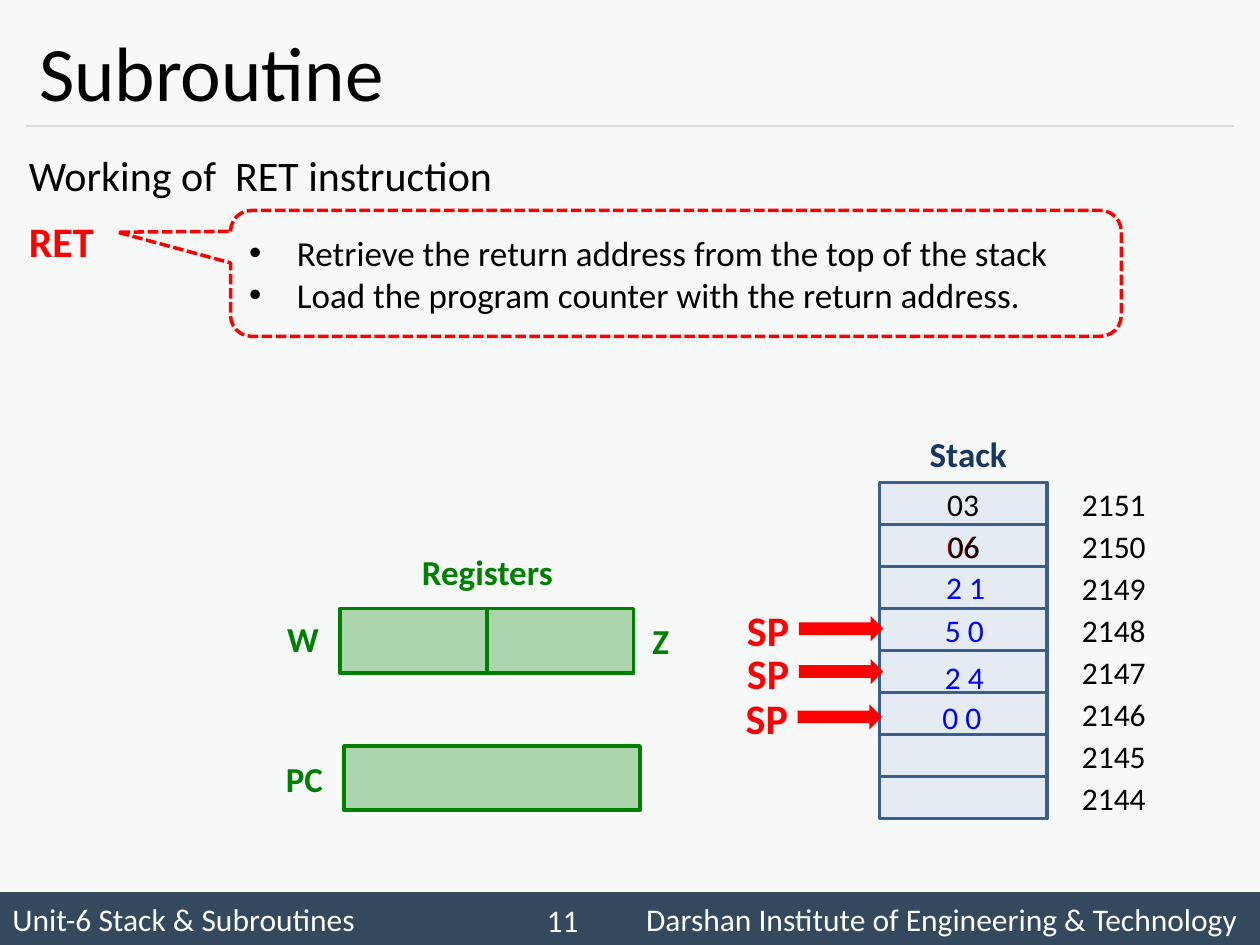
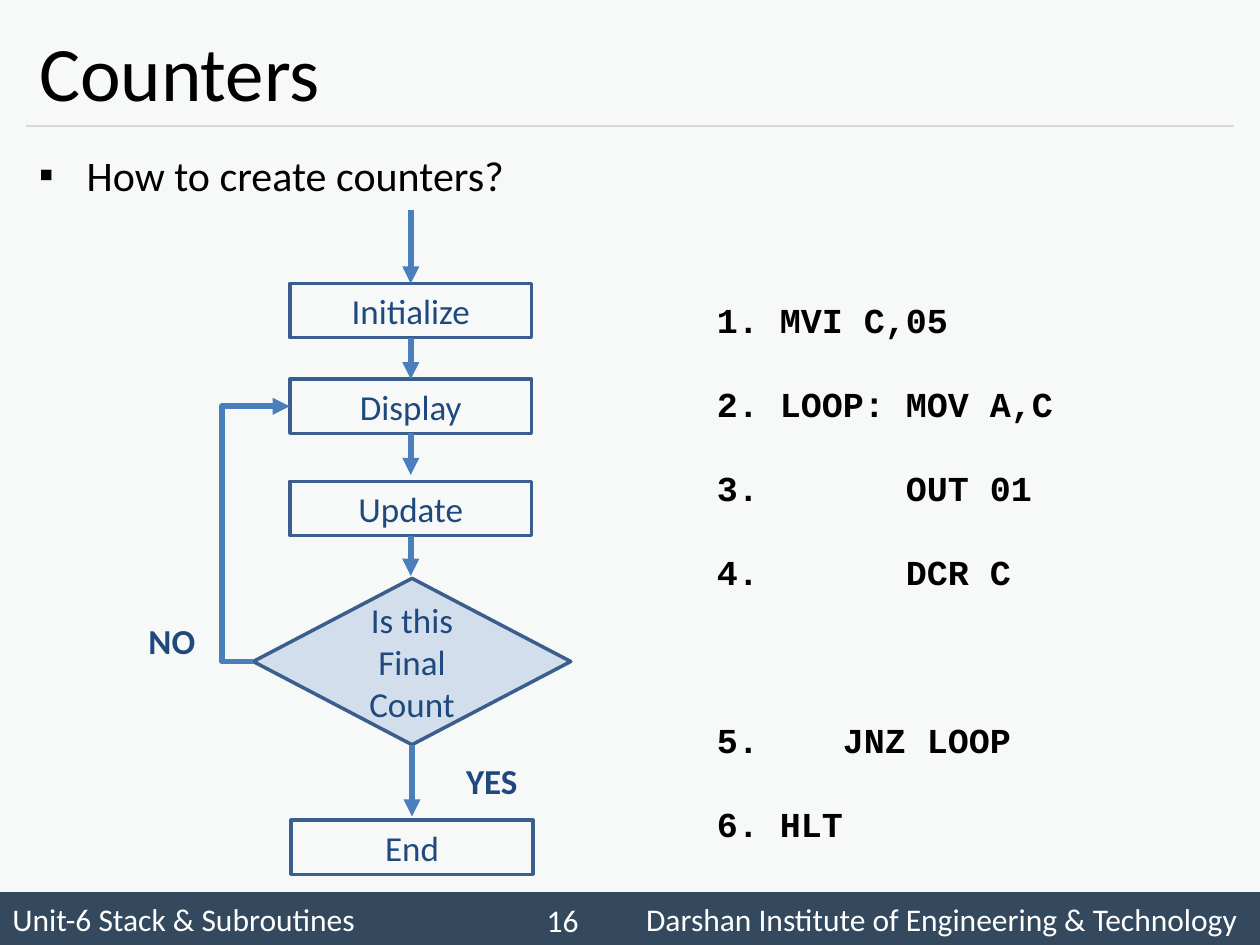
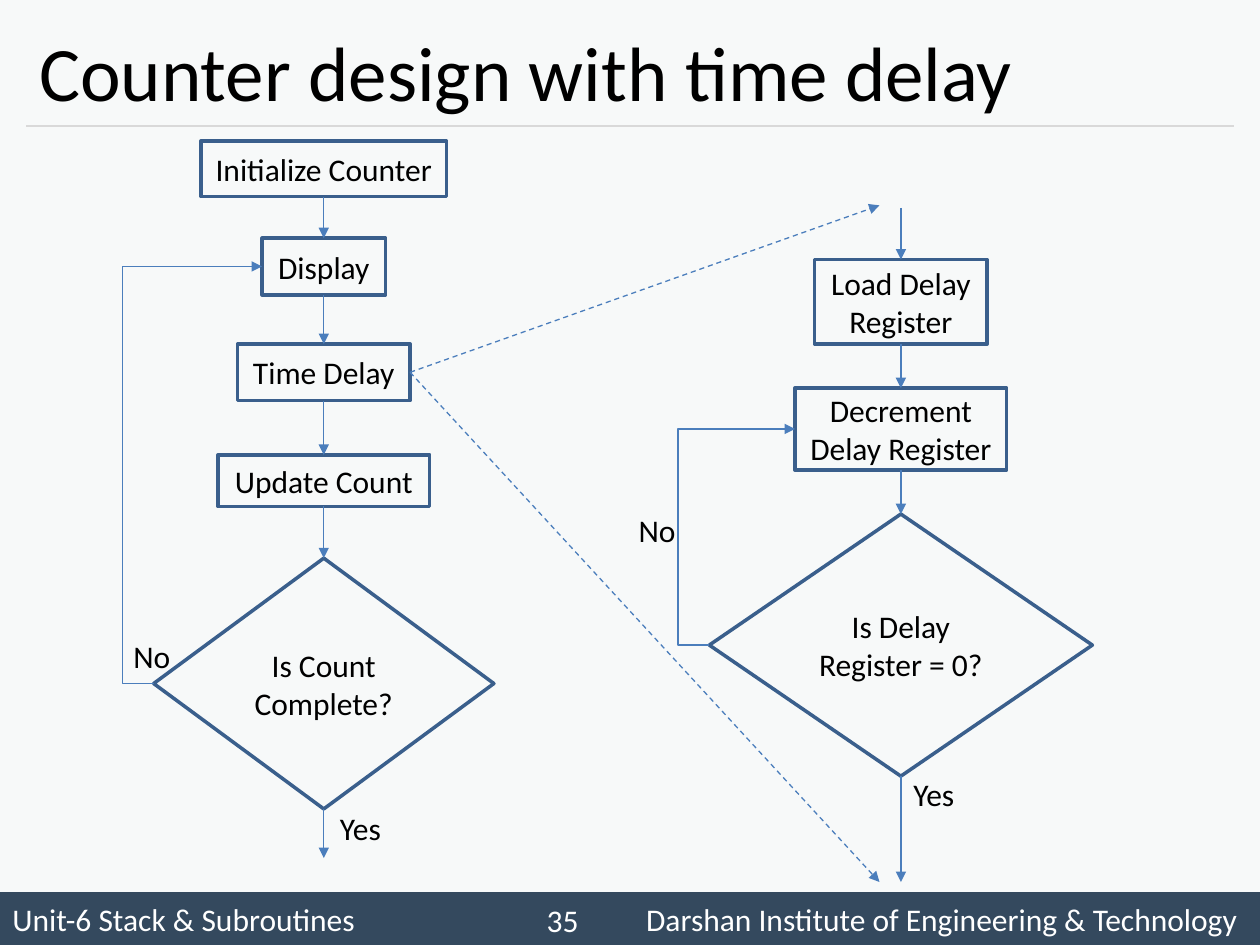
from lxml.etree import SubElement
from pptx import Presentation
from pptx.dml.color import RGBColor
from pptx.enum.dml import MSO_LINE
from pptx.enum.shapes import MSO_CONNECTOR, MSO_SHAPE
from pptx.enum.text import MSO_ANCHOR, PP_ALIGN
from pptx.oxml.ns import qn
from pptx.util import Inches, Pt

HEX = {
    "back": "F7F9F9", "band": "34495E", "rule": "D9D9D9", "white": "FFFFFF",
    "black": "000000", "red": "FF0000", "blue": "0000FF", "green": "008000",
    "navy": "17375E", "ink": "1F497D", "edge": "3A5F8C", "cell": "4F81BD",
    "arrow": "4B7EBC",
}
TOP, LEFT, BOTTOM, RIGHT = range(4)
CENTER = PP_ALIGN.CENTER


def color(name):
    return RGBColor.from_string(HEX[name])


def mark(para, bullet):
    """Give a paragraph a hanging bullet, or a number for '1.'."""
    indent = 0.5 if bullet == "1." else 0.38
    props = para._p.get_or_add_pPr()
    props.set("marL", str(Inches(indent)))
    props.set("indent", str(-Inches(indent)))
    if bullet == "1.":
        SubElement(props, qn("a:buAutoNum"), type="arabicPeriod")
    else:
        SubElement(props, qn("a:buFont"), typeface="Arial")
        SubElement(props, qn("a:buChar"), char=bullet)


def write(frame, text, size=18, ink="black", bold=False, face="Calibri",
          align=PP_ALIGN.LEFT, bullet=None, lead=None, before=None):
    """Add one paragraph to a text frame, filling the first if it is empty."""
    first = frame.paragraphs[0]
    para = frame.add_paragraph() if first.runs else first
    if bullet:
        mark(para, bullet)
    para.alignment = align
    para.line_spacing = lead
    if before:
        para.space_before = Pt(before)
    run = para.add_run()
    run.text = text
    font = run.font
    font.name, font.size, font.bold = face, Pt(size), bold
    font.color.rgb = color(ink)


def spot(end, side):
    """The middle of a shape's side; a point stays as it is."""
    if isinstance(end, tuple):
        return [Inches(value) for value in end]
    x, y, w, h = end.left, end.top, end.width, end.height
    return [(x + w // 2, y), (x, y + h // 2),
            (x + w // 2, y + h), (x + w, y + h // 2)][side]


class Deck:
    def __init__(self):
        self.prs = Presentation()
        self.prs.slide_width, self.prs.slide_height = Inches(10), Inches(7.5)
        fill = self.prs.slide_master.background.fill
        fill.solid()
        fill.fore_color.rgb = color("back")
        self.shapes = None

    def start(self, title, page):
        """New slide with title, rule and footer."""
        slide = self.prs.slides.add_slide(self.prs.slide_layouts[5])
        self.shapes = slide.shapes
        head = self.shapes.title
        head.left, head.top = Inches(0.21), Inches(0.12)
        head.width, head.height = Inches(9.58), Inches(0.88)
        head.text_frame.vertical_anchor = MSO_ANCHOR.MIDDLE
        write(head.text_frame, title, size=44)
        self.link((0.21, 1), (9.79, 1), ink="rule", head=False)
        self.box(0, 7.08, 10, 0.42, "Unit-6 Stack & Subroutines", fill="band",
                 edge=None, ink="white", align=PP_ALIGN.LEFT)
        self.label(5.03, 7.08, 4.97, 0.42,
                   "Darshan Institute of Engineering & Technology",
                   anchor=MSO_ANCHOR.MIDDLE, ink="white")
        self.label(4.13, 7.1, 0.67, 0.4, page, anchor=MSO_ANCHOR.MIDDLE,
                   ink="white", align=CENTER)

    def box(self, x, y, w, h, text="", kind=MSO_SHAPE.RECTANGLE, fill=None,
            alpha=None, edge="edge", **form):
        item = self.shapes.add_shape(
            kind, Inches(x), Inches(y), Inches(w), Inches(h))
        item.shadow.inherit = False
        if fill:
            item.fill.solid()
            item.fill.fore_color.rgb = color(fill)
        else:
            item.fill.background()
        if alpha:
            tint = item.fill._xPr.find(qn("a:solidFill"))[0]
            SubElement(tint, qn("a:alpha"), val=str(alpha * 1000))
        if edge:
            item.line.color.rgb = color(edge)
            item.line.width = Pt(2)
        else:
            item.line.fill.background()
        item.text_frame.vertical_anchor = MSO_ANCHOR.MIDDLE
        if text:
            for line in text.split("\n"):
                write(item.text_frame, line, **{"align": CENTER, **form})
        return item

    def label(self, x, y, w, h, text=None, wrap=False,
              anchor=MSO_ANCHOR.TOP, **form):
        item = self.shapes.add_textbox(
            Inches(x), Inches(y), Inches(w), Inches(h))
        frame = item.text_frame
        frame.word_wrap, frame.vertical_anchor = wrap, anchor
        if text:
            write(frame, text, **form)
        return frame

    def link(self, start, end, sides=(BOTTOM, TOP), width=0.75, ink="arrow",
             head=True, dash=False, bend=None):
        """Line between shapes or points; bend is how far it swings left."""
        kind = MSO_CONNECTOR.ELBOW if bend else MSO_CONNECTOR.STRAIGHT
        a, b = spot(start, sides[0]), spot(end, sides[1])
        wire = self.shapes.add_connector(kind, *a, *b)
        props = wire._element.spPr
        if bend:
            ratio = -Inches(bend) / (b[0] - a[0])
            guides = props.find(qn("a:prstGeom")).get_or_add_avLst()
            SubElement(guides, qn("a:gd"), name="adj1",
                       fmla=f"val {round(ratio * 100000)}")
        else:
            if not isinstance(start, tuple):
                wire.begin_connect(start, sides[0])
            if not isinstance(end, tuple):
                wire.end_connect(end, sides[1])
        wire.line.color.rgb = color(ink)
        wire.line.width = Pt(width)
        if dash:
            wire.line.dash_style = MSO_LINE.DASH
        if head:
            SubElement(wire.line._get_or_add_ln(), qn("a:tailEnd"),
                       type="triangle")
        SubElement(props, qn("a:effectLst"))


def ret_slide(deck):
    deck.start("Subroutine", "11")
    body = deck.label(0.13, 1.08, 9.58, 1.1, wrap=True)
    write(body, "Working of  RET instruction", size=24, lead=1.14)
    write(body, "RET", size=24, ink="red", bold=True, lead=1.14, before=4.8)

    # Stack cells and addresses
    row = 1 / 3
    for i in range(8):
        y = 3.83 + i * row
        deck.box(6.98, y, 1.33, row, {0: "03", 1: "06"}.get(i, ""),
                 fill="cell", alpha=11, ink="red" if i == 1 else "black")
        deck.label(8.32, y, 1.04, row, str(2151 - i),
                   anchor=MSO_ANCHOR.MIDDLE, align=CENTER)
    deck.label(7.28, 3.38, 0.82, 0.44, "Stack", size=20, ink="navy", bold=True)
    deck.label(7.42, 4.13, 0.46, 0.4, "06", align=CENTER)
    for x, y, data in [(7.41, 4.46, "2 1"), (7.4, 4.8, "5 0"),
                       (7.4, 5.17, "2 4"), (7.38, 5.49, "0 0")]:
        deck.label(x, y, 0.52, 0.4, data, ink="blue")

    # Registers
    for x, y, w in [(2.7, 4.83, 1.17), (3.86, 4.83, 1.17), (2.73, 5.92, 2.35)]:
        deck.box(x, y, w, 0.51, fill="green", alpha=30, edge="green")
    for x, y, w, name in [(3.25, 4.32, 1.67, "Registers"),
                          (2.18, 4.85, 0.46, "W"), (5.08, 4.87, 0.34, "Z"),
                          (2.17, 5.96, 0.5, "PC")]:
        deck.label(x, y, w, 0.44, name, wrap=w > 1, size=20, ink="green",
                   bold=True)

    # Stack pointer steps
    for x, y in [(5.82, 5.45), (5.83, 5.09), (5.83, 4.75)]:
        deck.box(x + 0.51, y + 0.14, 0.67, 0.2, kind=MSO_SHAPE.RIGHT_ARROW,
                 fill="red", edge=None)
        deck.label(x, y, 0.54, 0.5, "SP", size=24, ink="red", bold=True)

    # Callout
    note = deck.box(
        1.83, 1.67, 7.07, 1,
        "Retrieve the return address from the top of the stack\n"
        "Load the program counter with the return address.",
        kind=MSO_SHAPE.ROUNDED_RECTANGULAR_CALLOUT, edge="red", size=20,
        align=PP_ALIGN.LEFT, bullet="•")
    note.line.dash_style = MSO_LINE.SQUARE_DOT
    for i, value in enumerate((-0.627, -0.327, 0.167)):
        note.adjustments[i] = value


def count_slide(deck):
    deck.start("Counters", "16")
    deck.label(0.21, 1.08, 9.58, 0.6, "How to create counters?", wrap=True,
               size=24, bullet="▪", lead=1.14)

    # Flow chart
    form = {"size": 20, "ink": "ink"}
    first, show, update, end = [
        deck.box(x, y, 1.92, 0.43, text, **form)
        for x, y, text in [(2.3, 2.25, "Initialize"), (2.3, 3.01, "Display"),
                           (2.3, 3.82, "Update"), (2.31, 6.51, "End")]]
    test = deck.box(2.01, 4.59, 2.52, 1.32, "Is this Final Count",
                    kind=MSO_SHAPE.FLOWCHART_DECISION, fill="cell", alpha=22,
                    **form)
    for a, b in [((3.26, 1.67), first), (first, show), (show, (3.26, 3.77)),
                 (update, (3.26, 4.57)), (test, (3.27, 6.48))]:
        deck.link(a, b, width=3.25)
    deck.link(test, show, (LEFT, LEFT), width=3.25, bend=0.25)
    deck.label(3.6, 5.98, 0.61, 0.44, "YES", bold=True, **form)
    deck.label(1.08, 4.87, 0.58, 0.44, "NO", bold=True, **form)

    # Program
    code = deck.label(5.59, 1.99, 3.41, 4.14, wrap=True)
    for line in ["MVI C,05", "LOOP: MOV A,C", "      OUT 01", "      DCR C",
                 "   JNZ LOOP", "HLT"]:
        write(code, line, size=20, bold=True, face="Courier New", bullet="1.",
              lead=Pt(48), before=48 if "JNZ" in line else None)


def delay_slide(deck):
    deck.start("Counter design with time delay", "35")
    step, choice = MSO_SHAPE.FLOWCHART_PROCESS, MSO_SHAPE.FLOWCHART_DECISION

    def chain(mid, *parts):
        """Stack boxes about a middle line and join each to the next."""
        items = [deck.box(mid - w / 2, y, w, h, text, kind=kind)
                 for y, w, h, text, kind in parts]
        for a, b in zip(items, items[1:]):
            deck.link(a, b)
        return items

    # Counter loop
    _, show, wait, _, done = chain(
        2.57,
        (1.12, 1.95, 0.44, "Initialize Counter", step),
        (1.89, 0.98, 0.45, "Display", step),
        (2.73, 1.37, 0.45, "Time Delay", step),
        (3.61, 1.68, 0.41, "Update Count", step),
        (4.43, 2.7, 1.99, "Is Count\nComplete?", choice))
    deck.link(done, (2.57, 6.81))
    deck.link(done, show, (LEFT, LEFT), bend=0.25)

    # Delay loop
    load, less, zero = chain(
        7.15,
        (2.06, 1.37, 0.67, "Load Delay Register", step),
        (3.08, 1.68, 0.65, "Decrement Delay Register", step),
        (4.08, 3.04, 2.08, "Is Delay Register = 0?", choice))
    deck.link((7.15, 1.65), load)
    deck.link(zero, (7.15, 7))
    deck.link(zero, less, (LEFT, LEFT), bend=0.25)

    # Branch labels and zoom lines
    for x, y, text in [(2.6, 6.37, "Yes"), (0.96, 5.01, "No"),
                       (7.15, 6.1, "Yes"), (4.97, 4.01, "No")]:
        deck.label(x, y, 0.53, 0.4, text)
    for y in (1.63, 7):
        deck.link(wait, (6.98, y), (RIGHT, LEFT), dash=True)


def main():
    deck = Deck()
    ret_slide(deck)
    count_slide(deck)
    delay_slide(deck)
    deck.prs.save("out.pptx")


if __name__ == "__main__":
    main()
